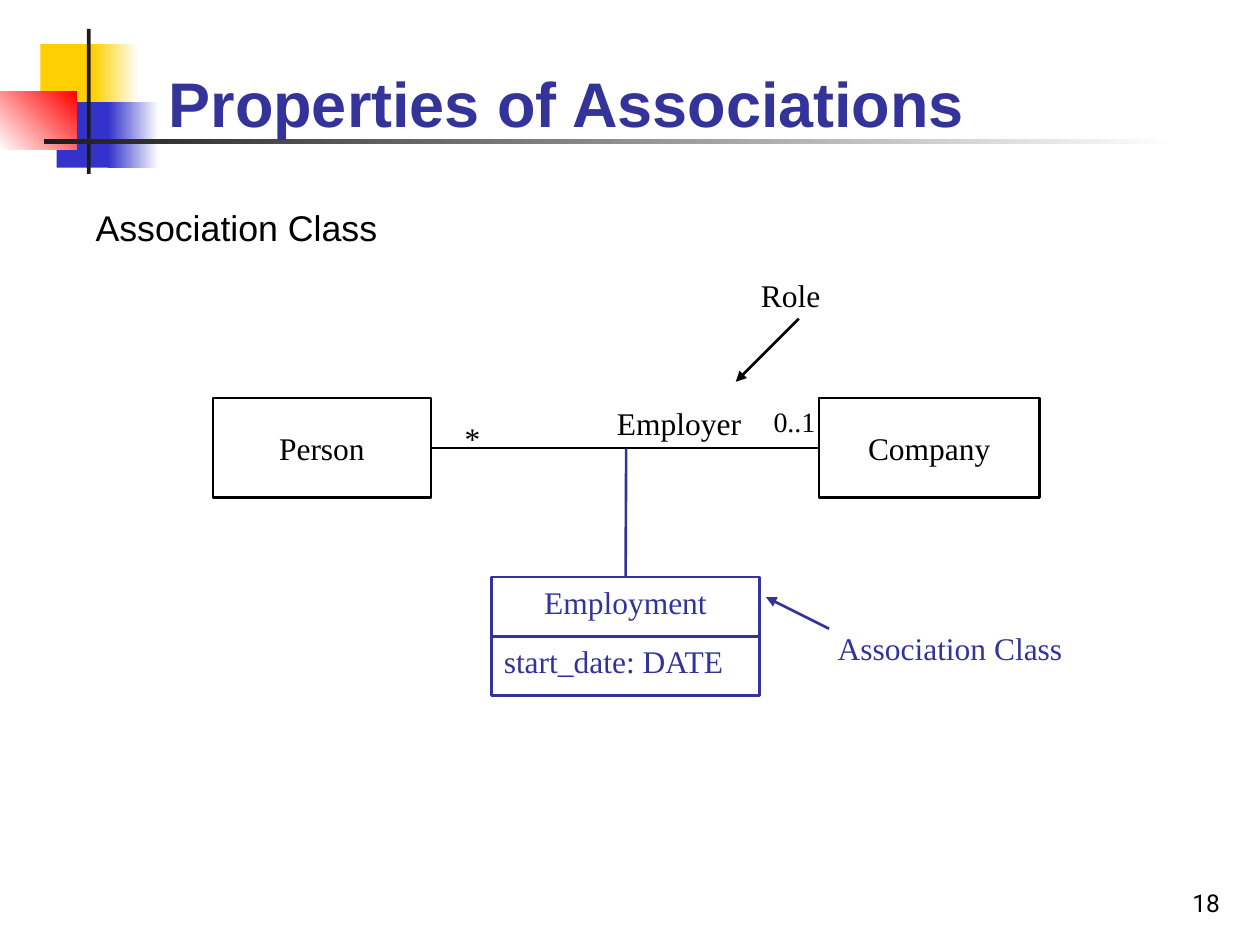
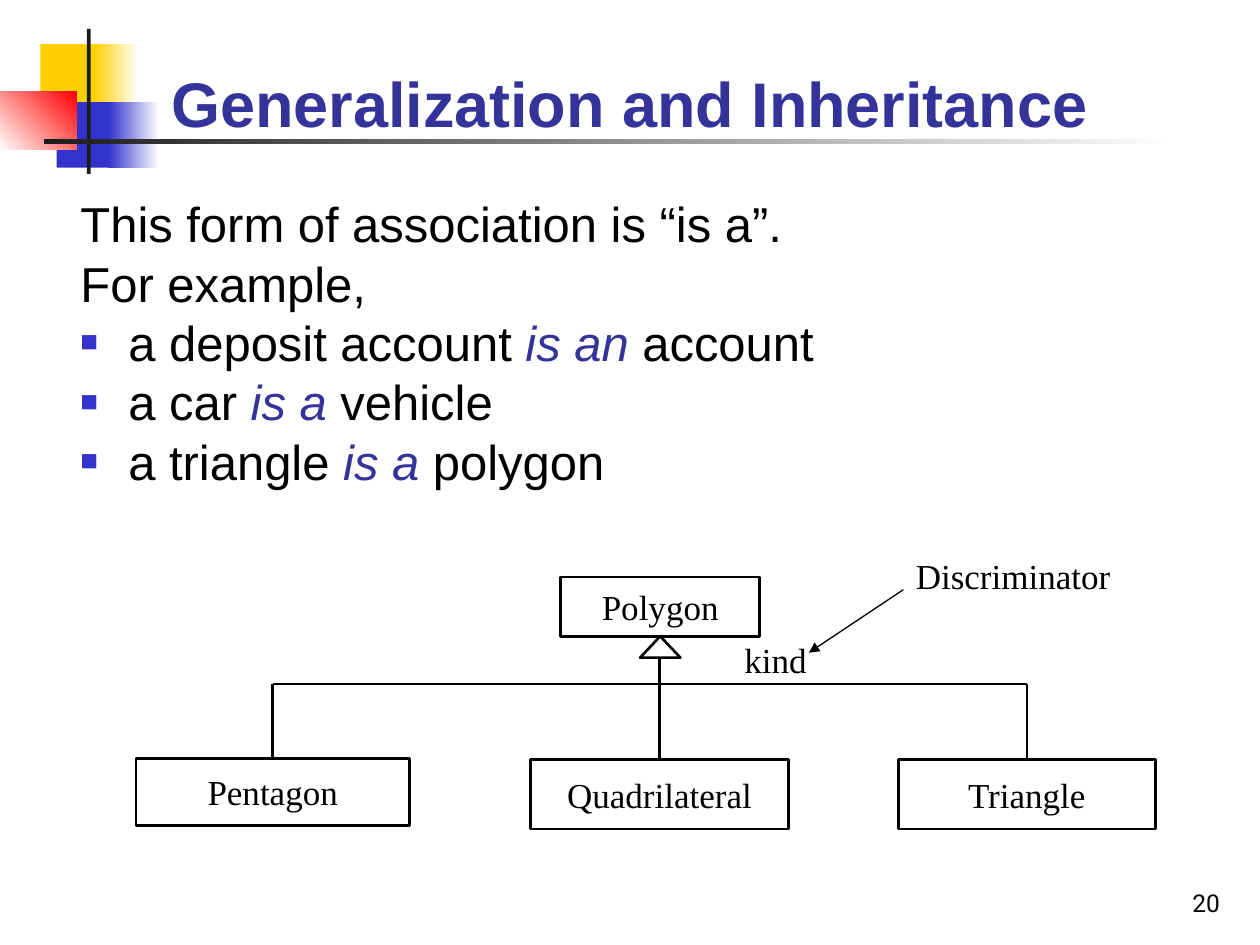
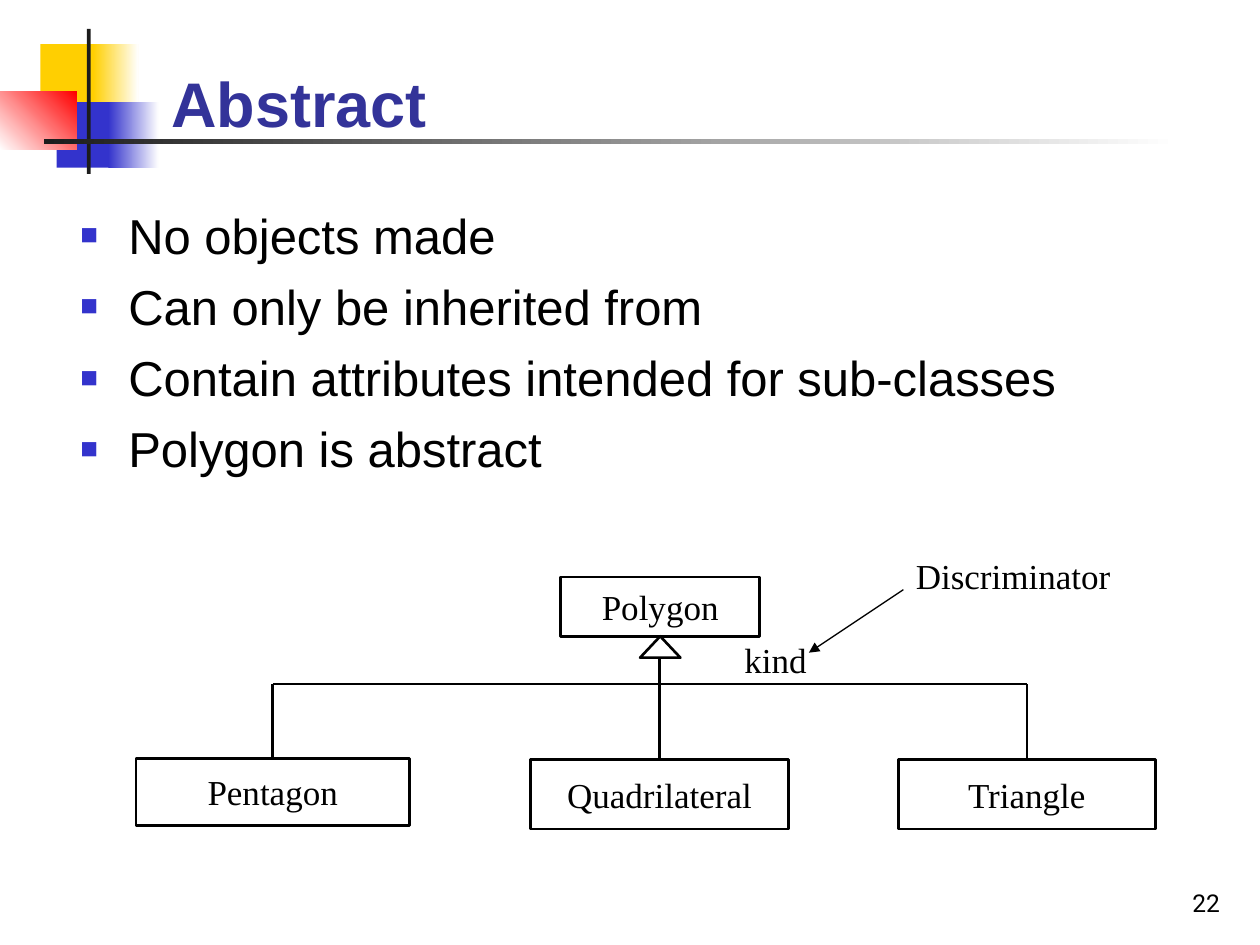
from lxml import etree
from pptx import Presentation
from pptx.dml.color import RGBColor
from pptx.enum.shapes import MSO_CONNECTOR, MSO_SHAPE
from pptx.enum.text import MSO_ANCHOR, PP_ALIGN
from pptx.oxml.ns import qn
from pptx.util import Inches, Pt

RECTANGLE, TRIANGLE = MSO_SHAPE.RECTANGLE, MSO_SHAPE.ISOSCELES_TRIANGLE
STRAIGHT = MSO_CONNECTOR.STRAIGHT
LEFT, CENTER, RIGHT = PP_ALIGN.LEFT, PP_ALIGN.CENTER, PP_ALIGN.RIGHT
TOP, MIDDLE, BOTTOM = MSO_ANCHOR.TOP, MSO_ANCHOR.MIDDLE, MSO_ANCHOR.BOTTOM
SIDE_TOP, SIDE_LEFT, SIDE_RIGHT = 0, 1, 3

BLACK = RGBColor(0x00, 0x00, 0x00)
WHITE = RGBColor(0xFF, 0xFF, 0xFF)
CHARCOAL = RGBColor(0x1C, 0x1C, 0x1C)
YELLOW = RGBColor(0xFF, 0xCF, 0x01)
BLUE = RGBColor(0x33, 0x33, 0xCC)
RED = RGBColor(0xFF, 0x00, 0x00)
INDIGO = RGBColor(0x33, 0x33, 0x99)

SANS, SERIF, NUMBER_FONT = "Arial", "Times New Roman", "Roboto"

DECORATION = [
    ((0.32, 0.35, 0.48, 0.52), (YELLOW,), 0),
    ((0.74, 0.35, 0.36, 0.52), (YELLOW, WHITE), 0),
    ((0.45, 0.81, 0.46, 0.52), (BLUE,), 0),
    ((0.86, 0.81, 0.4, 0.52), (BLUE, WHITE), 0),
    ((0, 0.73, 0.61, 0.46), (WHITE, RED), 45),
    ((0.69, 0.23, 0.03, 1.15), (CHARCOAL,), 0),
    ((0.35, 1.1, 9, 0.04), (CHARCOAL, WHITE), 0),
]
NUMBER_BOX = (7.7, 6.83, 2.08, 0.5)
WIDE_TITLE = (1.26, 0.23, 8.52, 0.93)
WIDE_BODY = (0.54, 1.58, 8.87, 2.51)
INDENT = 0.38

SLIDES = [
    dict(number="18", title="Properties of Associations", title_box=(1.24, 0.26, 7.05, 0.9),
         body_box=(0.66, 1.62, 3.39, 0.46), size=20.4, spacing=0.9,
         lines=["Association Class"], diagram="association"),
    dict(number="20", title="Generalization and Inheritance", title_box=WIDE_TITLE,
         body_box=WIDE_BODY, size=28, spacing=0.8,
         lines=["This form of association is “is a”.", "For example,",
                "• a deposit account *is an* account", "• a car *is a* vehicle",
                "• a triangle *is a* polygon"], diagram="polygons"),
    dict(number="22", title="Abstract", title_box=WIDE_TITLE,
         body_box=WIDE_BODY, size=28, spacing=1.0,
         lines=["• No objects made", "• Can only be inherited from",
                "• Contain attributes intended for sub-classes",
                "• Polygon is abstract"], diagram="polygons"),
]

ASSOCIATION_LABELS = [
    ("Role", (5.94, 2.14, 0.81, 0.4), 18, BLACK, LEFT),
    ("Employer", (4.76, 3.16, 1.26, 0.4), 18, BLACK, CENTER),
    ("*", (3.59, 3.28, 1, 0.4), 18, BLACK, LEFT),
    ("0..1", (6.02, 3.16, 0.55, 0.37), 16, BLACK, RIGHT),
    ("start_date: DATE", (3.9, 5.05, 2.13, 0.4), 18, INDIGO, LEFT),
    ("Association Class", (6.55, 4.94, 2, 0.4), 18, INDIGO, LEFT),
]
POLYGON_LABELS = [
    ("kind", (5.58, 5.02, 1.15, 0.44), 20, BLACK, CENTER),
    ("Discriminator", (7.17, 4.35, 2.25, 0.44), 20, BLACK, LEFT),
]
SUBCLASSES = [
    ("Pentagon", (1.08, 6.02, 2.17, 0.53)),
    ("Quadrilateral", (4.21, 6.03, 2.05, 0.55)),
    ("Triangle", (7.13, 6.03, 2.04, 0.55)),
]
BRANCH_Y = 5.43


def inches(values):
    return [Inches(value) for value in values]


def style_run(run, font, size, color, bold=False, italic=False):
    run.font.name, run.font.size = font, Pt(size)
    run.font.bold, run.font.italic = bold, italic
    run.font.color.rgb = color


def write(shape, text, font, size, color, align=LEFT, anchor=TOP, bold=False):
    frame = shape.text_frame
    frame.word_wrap = True
    frame.vertical_anchor = anchor
    frame.text = text
    paragraph = frame.paragraphs[0]
    paragraph.alignment = align
    style_run(paragraph.runs[0], font, size, color, bold)


def add_text(slide, box, *args, **options):
    write(slide.shapes.add_textbox(*inches(box)), *args, **options)


def add_labels(slide, labels):
    for text, box, size, color, align in labels:
        add_text(slide, box, text, SERIF, size, color, align)


def add_outline(slide, box, color=BLACK, kind=RECTANGLE):
    shape = slide.shapes.add_shape(kind, *inches(box))
    shape.shadow.inherit = False
    shape.fill.background()
    shape.line.color.rgb = color
    shape.line.width = Pt(1.5)
    return shape


def add_class(slide, text, box, size, color=BLACK, anchor=MIDDLE):
    shape = add_outline(slide, box, color)
    write(shape, text, SERIF, size, color, CENTER, anchor)
    return shape


def add_line(slide, start, end, color=BLACK, width=1.5, arrow=False):
    line = slide.shapes.add_connector(STRAIGHT, *inches(start + end))
    line.line.color.rgb = color
    line.line.width = Pt(width)
    if arrow:
        etree.SubElement(line.line._get_or_add_ln(), qn("a:tailEnd"), type="triangle")
    etree.SubElement(line._element.spPr, qn("a:effectLst"))
    return line


def add_decoration(slide):
    for box, colors, angle in DECORATION:
        shape = slide.shapes.add_shape(RECTANGLE, *inches(box))
        shape.shadow.inherit = False
        shape.line.fill.background()
        if len(colors) == 1:
            shape.fill.solid()
            shape.fill.fore_color.rgb = colors[0]
            continue
        shape.fill.gradient()
        shape.fill.gradient_angle = angle
        for stop, color in zip(shape.fill.gradient_stops, colors):
            stop.color.rgb = color


def add_bullet(properties):
    color = etree.SubElement(properties, qn("a:buClr"))
    etree.SubElement(color, qn("a:srgbClr"), val=str(BLUE))
    etree.SubElement(properties, qn("a:buSzPct"), val="60000")
    etree.SubElement(properties, qn("a:buFont"), typeface=SANS)
    etree.SubElement(properties, qn("a:buChar"), char="■")


def add_body(slide, box, lines, size, spacing):
    frame = slide.shapes.add_textbox(*inches(box)).text_frame
    frame.word_wrap = True
    for index, line in enumerate(lines):
        paragraph = frame.add_paragraph() if index else frame.paragraphs[0]
        properties = paragraph._p.get_or_add_pPr()
        properties.set("marL", str(Inches(INDENT)))
        properties.set("indent", str(-Inches(INDENT)))
        if line.startswith("• "):
            add_bullet(properties)
        paragraph.line_spacing = spacing
        if index:
            paragraph.space_before = Pt(7)
        for part, text in enumerate(line.removeprefix("• ").split("*")):
            run = paragraph.add_run()
            run.text = text
            emphasis = part % 2 == 1
            style_run(run, SANS, size, INDIGO if emphasis else BLACK, italic=emphasis)


def draw_association(slide):
    person = add_class(slide, "Person", (1.69, 3.16, 1.73, 0.79), 18)
    company = add_class(slide, "Company", (6.5, 3.16, 1.75, 0.79), 18)
    employment = add_class(slide, "Employment", (3.9, 4.58, 2.13, 0.94), 18, INDIGO, TOP)
    association = add_line(slide, (3.42, 3.56), (6.5, 3.56))
    association.begin_connect(person, SIDE_RIGHT)
    association.end_connect(company, SIDE_LEFT)
    add_line(slide, (4.97, 3.56), (4.97, 4.58), INDIGO).end_connect(employment, SIDE_TOP)
    add_line(slide, (3.9, 5.05), (6.03, 5.05), INDIGO)
    add_line(slide, (6.58, 4.99), (6.08, 4.74), INDIGO, arrow=True)
    add_line(slide, (6.34, 2.53), (5.84, 3.03), arrow=True)
    add_labels(slide, ASSOCIATION_LABELS)


def draw_polygons(slide):
    add_class(slide, "Polygon", (4.45, 4.58, 1.58, 0.47), 20)
    add_outline(slide, (5.08, 5.05, 0.32, 0.17), kind=TRIANGLE)
    centers = []
    for name, box in SUBCLASSES:
        left, top, width, height = box
        center = left + width / 2
        centers.append(center)
        start = 5.22 if name == "Quadrilateral" else BRANCH_Y
        subclass = add_class(slide, name, box, 20)
        add_line(slide, (center, start), (center, top)).end_connect(subclass, SIDE_TOP)
    add_line(slide, (centers[0], BRANCH_Y), (centers[-1], BRANCH_Y))
    add_line(slide, (7.17, 4.68), (6.42, 5.18), width=0.75, arrow=True)
    add_labels(slide, POLYGON_LABELS)


DIAGRAMS = {"association": draw_association, "polygons": draw_polygons}


def main():
    presentation = Presentation()
    presentation.slide_width, presentation.slide_height = Inches(10), Inches(7.5)
    for content in SLIDES:
        slide = presentation.slides.add_slide(presentation.slide_layouts[6])
        add_decoration(slide)
        add_text(slide, NUMBER_BOX, content["number"], NUMBER_FONT, 14, BLACK, RIGHT, BOTTOM)
        add_text(slide, content["title_box"], content["title"], SANS, 36, INDIGO,
                 anchor=BOTTOM, bold=True)
        add_body(slide, content["body_box"], content["lines"], content["size"],
                 content["spacing"])
        DIAGRAMS[content["diagram"]](slide)
    presentation.save("out.pptx")


if __name__ == "__main__":
    main()
